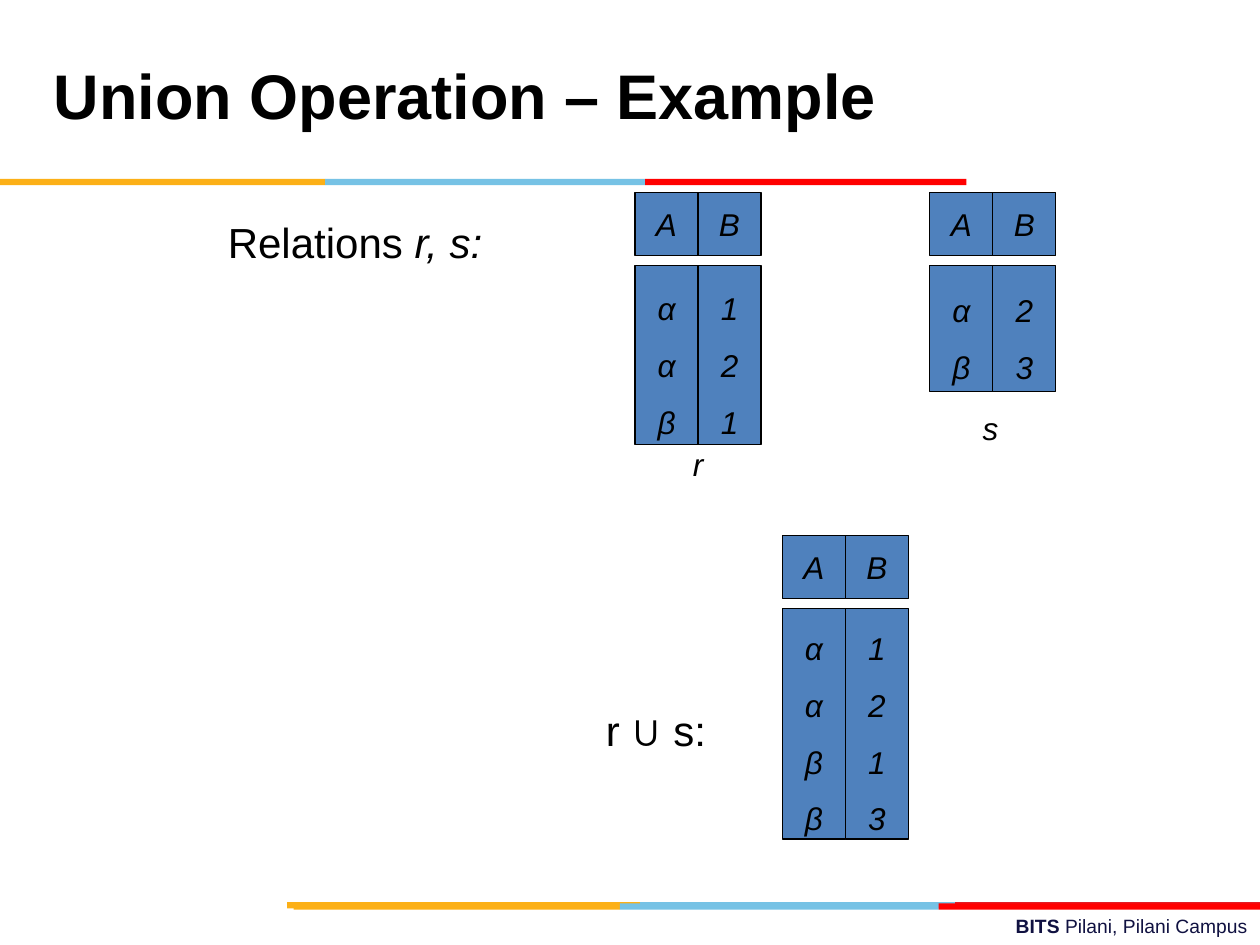
from pptx import Presentation
from pptx.dml.color import RGBColor
from pptx.enum.shapes import MSO_SHAPE
from pptx.enum.text import MSO_ANCHOR, PP_ALIGN
from pptx.util import Inches, Pt

RECTANGLE = MSO_SHAPE.RECTANGLE
TOP, MIDDLE = MSO_ANCHOR.TOP, MSO_ANCHOR.MIDDLE
LEFT, CENTER, RIGHT = PP_ALIGN.LEFT, PP_ALIGN.CENTER, PP_ALIGN.RIGHT

ORANGE, BLUE, RED, DARK_RED = "FCB017", "76C2E5", "FF0000", "E31C24"
BLACK, NAVY, CELL_BLUE = "000000", "101141", "4F81BD"
CELL = 0.5
BODY_OFFSET = 0.58


def color(hex_string):
    return RGBColor.from_string(hex_string)


class SlideBuilder:
    font_name = "Arial"

    def __init__(self, slide):
        self.slide = slide

    def fill_text(self, frame, paragraphs, size, ink=BLACK, align=LEFT,
                  anchor=TOP, spacing=None, wrap=True):
        """Fill a text frame; each paragraph is a list of (text, style)
        pairs, where style holds "b" for bold and "i" for italic."""
        frame.word_wrap = wrap
        frame.vertical_anchor = anchor
        for index, runs in enumerate(paragraphs):
            paragraph = frame.add_paragraph() if index else frame.paragraphs[0]
            paragraph.alignment = align
            if spacing:
                paragraph.line_spacing = spacing
            for text, style in runs:
                run = paragraph.add_run()
                run.text = text
                font = run.font
                font.name, font.size = self.font_name, Pt(size)
                font.bold, font.italic = "b" in style, "i" in style
                font.color.rgb = color(ink)

    def text(self, left, top, width, height, runs, size, **options):
        box = self.slide.shapes.add_textbox(
            Inches(left), Inches(top), Inches(width), Inches(height))
        self.fill_text(box.text_frame, [runs], size, **options)

    def rectangle(self, left, top, width, height, fill, line=None):
        shape = self.slide.shapes.add_shape(
            RECTANGLE, Inches(left), Inches(top), Inches(width), Inches(height))
        shape.shadow.inherit = False
        shape.fill.solid()
        shape.fill.fore_color.rgb = color(fill)
        if line:
            shape.line.color.rgb = color(line)
            shape.line.width = Pt(0.75)
        else:
            shape.line.fill.background()
        return shape

    def stripe(self, top, edges, fills):
        """Draw a row of thin bars between neighbouring edges."""
        for left, right, fill in zip(edges, edges[1:], fills):
            self.rectangle(left, top, right - left, 0.05, fill)

    def cell(self, left, top, height, values, spacing=None):
        shape = self.rectangle(left, top, CELL, height, CELL_BLUE, BLACK)
        self.fill_text(shape.text_frame, [[(value, "i")] for value in values],
                       18, align=CENTER, anchor=MIDDLE, spacing=spacing,
                       wrap=False)

    def relation(self, left, top, body_height, columns):
        """Draw a header row with one tall value cell under each heading."""
        for index, (heading, values) in enumerate(columns.items()):
            column_left = left + index * CELL
            self.cell(column_left, top, CELL, heading)
            self.cell(column_left, top + BODY_OFFSET, body_height, values, 1.5)


def main():
    presentation = Presentation()
    presentation.slide_width, presentation.slide_height = Inches(10), Inches(7.5)
    builder = SlideBuilder(
        presentation.slides.add_slide(presentation.slide_layouts[6]))

    builder.text(3.58, 7.21, 6.42, 0.29,
                 [("BITS ", "b"), ("Pilani, Pilani Campus", "")], 11,
                 ink=NAVY, align=RIGHT)
    builder.stripe(7.16, [2.28, 5.08, 7.58, 10], [ORANGE, BLUE, DARK_RED])
    builder.stripe(7.17, [2.33, 4.92, 7.45, 10], [ORANGE, BLUE, RED])
    builder.stripe(1.42, [0, 2.58, 5.12, 7.67], [ORANGE, BLUE, RED])

    builder.text(0.33, 0.17, 6.92, 1.25, [("Union Operation – Example", "b")],
                 36, anchor=MIDDLE, spacing=Pt(36))
    builder.text(1.71, 1.67, 3, 0.5, [("Relations ", ""), ("r, s:", "i")], 24)
    builder.text(4.71, 5.54, 1.3, 0.5, [("r ∪ s:", "")], 24)

    builder.relation(5.04, 1.53, 1.42, {"A": "ααβ", "B": "121"})
    builder.relation(7.38, 1.53, 1, {"A": "αβ", "B": "23"})
    builder.relation(6.21, 4.25, 1.83, {"A": "ααββ", "B": "1213"})

    for name, left, top in [("r", 5.39, 3.48), ("s", 7.7, 3.2)]:
        builder.text(left, top, 0.3, 0.4, [(name, "i")], 18,
                     align=CENTER, anchor=MIDDLE, wrap=False)

    presentation.save("out.pptx")


if __name__ == "__main__":
    main()
